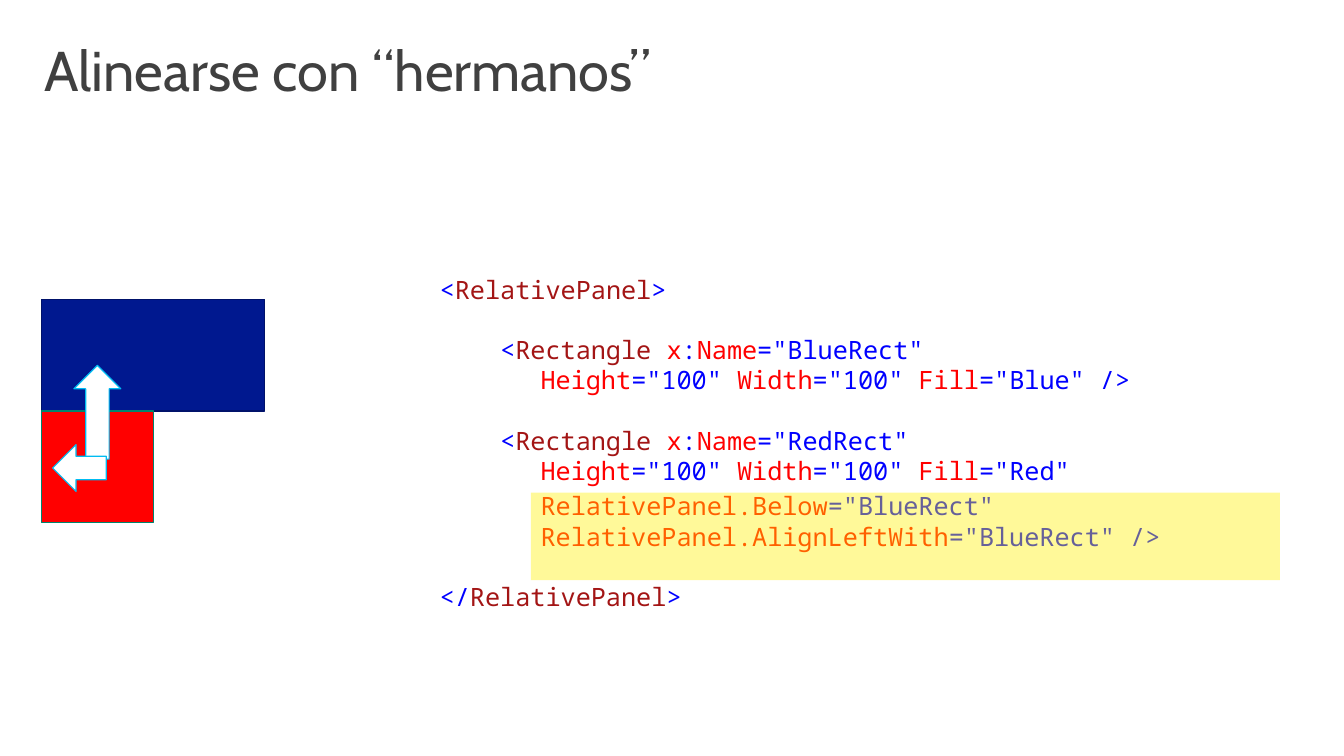
import dataclasses

import pptx
import pptx.dml.color
import pptx.enum.shapes
import pptx.enum.text
import pptx.oxml
import pptx.oxml.ns
import pptx.util

COLUMNS, ROWS = 136, 76.5
CELL = pptx.util.Inches(0.1)


@dataclasses.dataclass(frozen=True)
class Theme:
    title_font: str = "Cabin"
    code_font: str = "Noto Sans Mono"
    title_size: float = 40.8
    code_size: float = 18.4
    code_line: float = 22
    outline: float = 0.85
    title: str = "404040"
    tag: str = "A31515"
    attribute: str = "FF0000"
    value: str = "0000FF"
    blue: str = "00188F"
    blue_edge: str = "00126A"
    red: str = "FF0000"
    red_edge: str = "00846D"
    arrow: str = "FFFFFF"
    arrow_edge: str = "00BCF2"
    marker: str = "FFF100"
    marker_alpha: int = 40


@dataclasses.dataclass(frozen=True)
class Box:
    left: float
    top: float
    width: float
    height: float

    def share(self, x, y, width, height):
        return Box(self.left + x * self.width, self.top + y * self.height,
                   width * self.width, height * self.height)

    def emu(self):
        return [round(length * CELL)
                for length in (self.left, self.top, self.width, self.height)]


THEME = Theme()
TAG, ATTR, VALUE = THEME.tag, THEME.attribute, THEME.value


def rectangle_opening(name, fill):
    return [("    <", VALUE), ("Rectangle", TAG), (" x", ATTR), (":", VALUE),
            ("Name", ATTR), (f'="{name}"', VALUE), "\n",
            ("\tHeight", ATTR), ('="100"', VALUE), (" Width", ATTR),
            ('="100"', VALUE), (" Fill", ATTR), (f'="{fill}"', VALUE)]


CODE = [
    (0, [("<", VALUE), ("RelativePanel", TAG), (">", VALUE)]),
    (THEME.code_line, rectangle_opening("BlueRect", "Blue") + [(" />", VALUE)]),
    (THEME.code_line, rectangle_opening("RedRect", "Red")),
    (4, [("\tRelativePanel.Below", ATTR), ('="BlueRect"', VALUE), "\n",
         ("\tRelativePanel.AlignLeftWith", ATTR), ('="BlueRect" />', VALUE)]),
    (THEME.code_line, [("</", VALUE), ("RelativePanel", TAG), (">", VALUE)]),
]


def rgb(value):
    return pptx.dml.color.RGBColor.from_string(value)


def add_text_frame(slide, box, anchor):
    frame = slide.shapes.add_textbox(*box.emu()).text_frame
    frame.word_wrap = True
    frame.vertical_anchor = anchor
    frame.margin_left = frame.margin_right = pptx.util.Inches(0.15)
    frame.margin_top = frame.margin_bottom = pptx.util.Inches(0.12)
    return frame


def add_block(slide, box, kind, fill, edge=None):
    block = slide.shapes.add_shape(kind, *box.emu())
    block.shadow.inherit = False
    block.fill.solid()
    block.fill.fore_color.rgb = rgb(fill)
    if edge:
        block.line.color.rgb = rgb(edge)
        block.line.width = pptx.util.Pt(THEME.outline)
    else:
        block.line.fill.background()
    return block


def add_title(slide, box):
    frame = add_text_frame(slide, box, pptx.enum.text.MSO_ANCHOR.TOP)
    heading = frame.paragraphs[0]
    heading.text = "Alinearse con “hermanos”"
    heading.line_spacing = 0.9
    heading.font.name = THEME.title_font
    heading.font.size = pptx.util.Pt(THEME.title_size)
    heading.font.color.rgb = rgb(THEME.title)


def add_code(slide, box):
    frame = add_text_frame(slide, box, pptx.enum.text.MSO_ANCHOR.MIDDLE)
    for index, (space_before, tokens) in enumerate(CODE):
        statement = frame.add_paragraph() if index else frame.paragraphs[0]
        statement.line_spacing = pptx.util.Pt(THEME.code_line)
        statement.space_before = pptx.util.Pt(space_before)
        properties = statement._p.get_or_add_pPr()
        tabs = pptx.oxml.parse_xml(
            f'<a:tabLst {pptx.oxml.ns.nsdecls("a")}>'
            f'<a:tab pos="{pptx.util.Inches(1.02)}" algn="l"/></a:tabLst>')
        properties.append(tabs)
        statement.font.name = THEME.code_font
        statement.font.size = pptx.util.Pt(THEME.code_size)
        for token in tokens:
            if token == "\n":
                statement.add_line_break()
                continue
            word, color = token
            run = statement.add_run()
            run.text = word
            run.font.color.rgb = rgb(color)


def add_siblings(slide, box):
    shapes = pptx.enum.shapes.MSO_SHAPE
    add_block(slide, box.share(0, 0, 1, 0.5), shapes.RECTANGLE,
              THEME.blue, THEME.blue_edge)
    add_block(slide, box.share(0, 0.5, 0.5, 0.5), shapes.RECTANGLE,
              THEME.red, THEME.red_edge)
    below_arrow = add_block(slide, box.share(0.04, 0.4, 0.42, 0.21),
                            shapes.LEFT_ARROW, THEME.arrow, THEME.arrow_edge)
    below_arrow.rotation = 90
    add_block(slide, box.share(0.05, 0.65, 0.24, 0.21),
              shapes.LEFT_ARROW, THEME.arrow, THEME.arrow_edge)


def add_marker(slide, box):
    marker = add_block(slide, box.share(0.13, 0.58, 0.92, 0.14),
                       pptx.enum.shapes.MSO_SHAPE.RECTANGLE, THEME.marker)
    color = marker._element.spPr.find(".//" + pptx.oxml.ns.qn("a:srgbClr"))
    color.append(pptx.oxml.parse_xml(
        f'<a:alpha {pptx.oxml.ns.nsdecls("a")} '
        f'val="{THEME.marker_alpha * 1000}"/>'))


def main():
    deck = pptx.Presentation()
    deck.slide_width = round(COLUMNS * CELL)
    deck.slide_height = round(ROWS * CELL)
    slide = deck.slides.add_slide(deck.slide_layouts[6])
    code_box = Box(43, 13.2, 82.4, 63.2)
    add_title(slide, Box(3, 3.2, 130, 10))
    add_code(slide, code_box)
    add_siblings(slide, Box(4.2, 30.3, 22.6, 22.6))
    add_marker(slide, code_box)
    deck.save("out.pptx")


if __name__ == "__main__":
    main()
